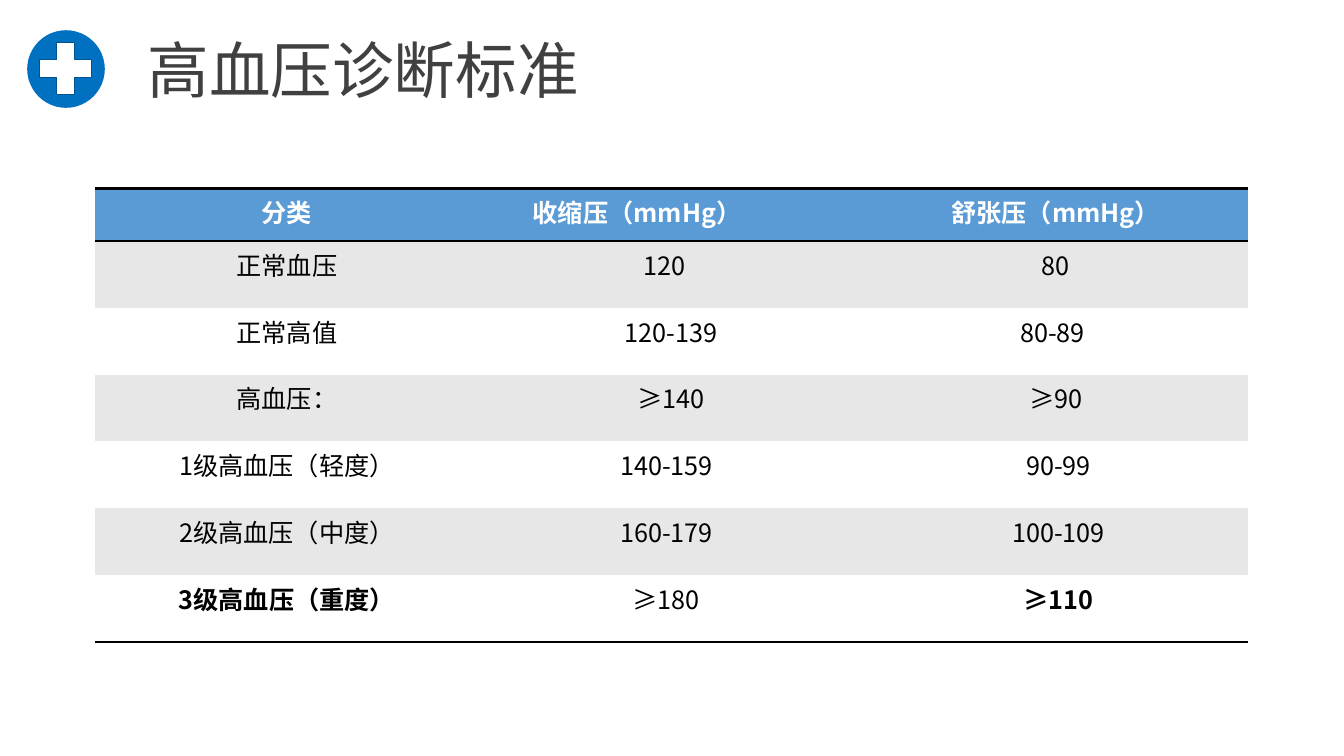
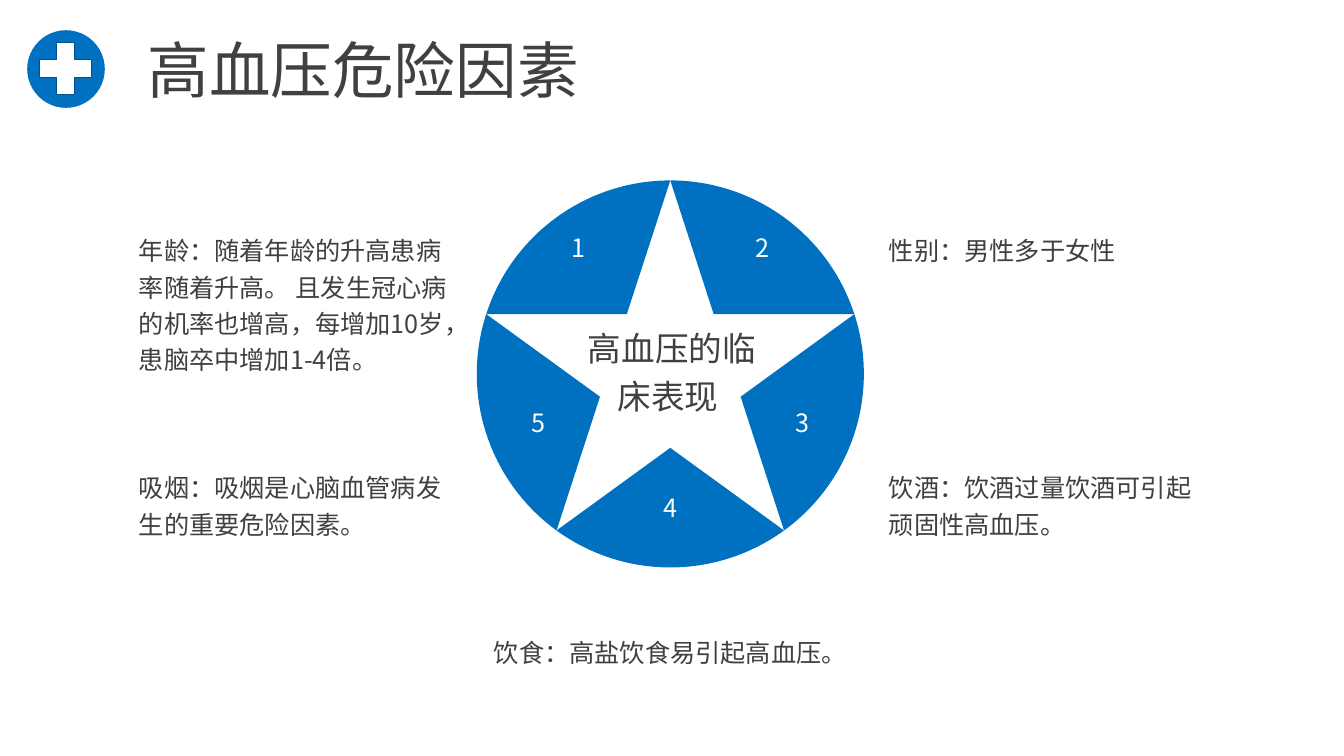
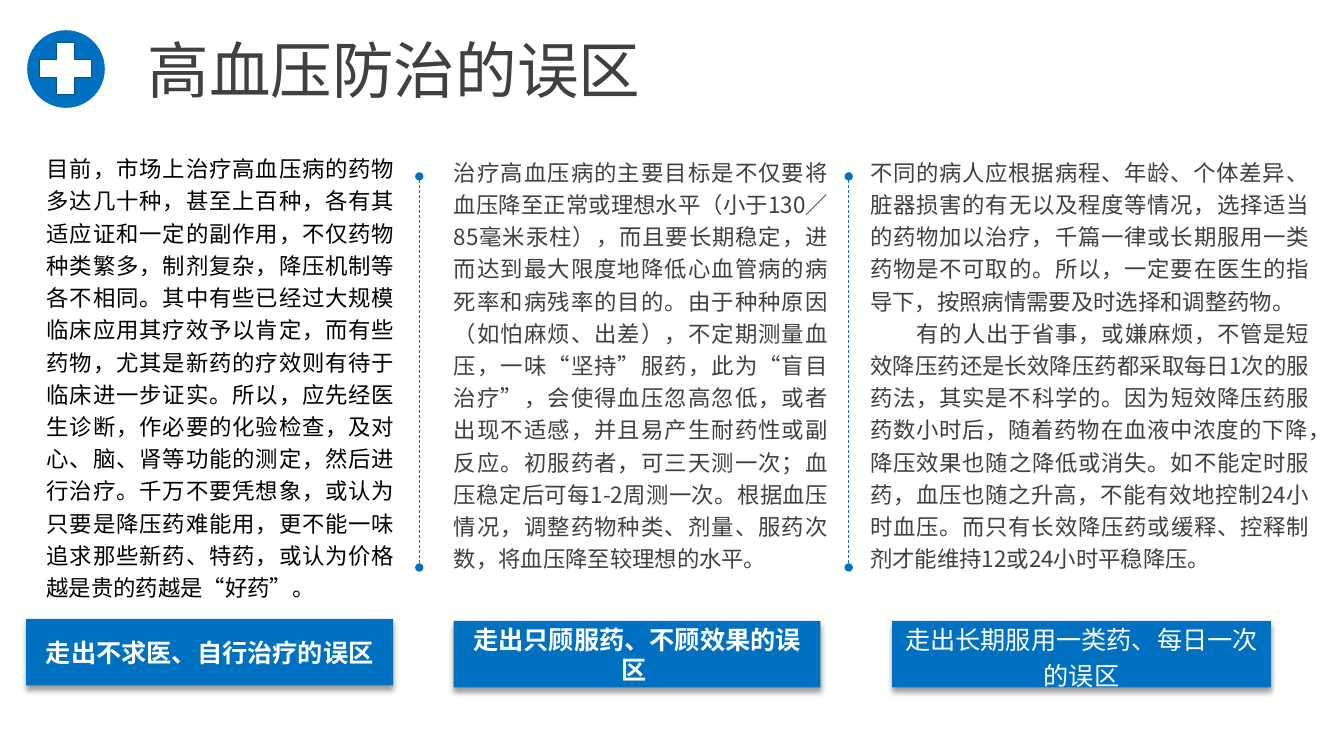
from dataclasses import dataclass
from math import cos, radians, sin, tan
from lxml.etree import SubElement
from pptx import Presentation
from pptx.dml.color import RGBColor
from pptx.enum.dml import MSO_LINE
from pptx.enum.shapes import MSO_CONNECTOR, MSO_SHAPE
from pptx.enum.text import MSO_ANCHOR, MSO_AUTO_SIZE, PP_ALIGN
from pptx.oxml.ns import qn
from pptx.util import Pt

PX = 3048


@dataclass(frozen=True)
class Theme:
    face: str = "Noto Sans CJK SC"
    blue: str = "0070C0"
    edge: str = "00538E"
    head: str = "5B9BD5"
    band: str = "E7E7E7"
    white: str = "FFFFFF"
    black: str = "000000"
    ink: str = "404040"
    title: int = Pt(44)
    hub: int = Pt(24)
    text: int = Pt(18)
    small: int = Pt(16)


T = Theme()


def node(parent, tag, **attrs):
    return SubElement(parent, qn(tag), {key: str(val) for key, val in attrs.items()})


def write(frame, lines, tint, font, para, body):
    for key, val in body.items():
        setattr(frame, key, val)
    for i, line in enumerate(lines):
        part = frame.add_paragraph() if i else frame.paragraphs[0]
        run = part.add_run()
        run.text = line
        for item, look in ((part, para), (run.font, {"name": T.face, **font})):
            for key, val in look.items():
                setattr(item, key, val)
        run.font.color.rgb = RGBColor.from_string(tint)
        node(run._r.get_or_add_rPr(), "a:ea", typeface=T.face)


mid = {"alignment": PP_ALIGN.CENTER}
left = {"alignment": PP_ALIGN.LEFT}
loose = {"line_spacing": 1.2}
wrap = {"word_wrap": True}
core = {**wrap, "vertical_anchor": MSO_ANCHOR.MIDDLE}

deck = Presentation()
deck.slide_width, deck.slide_height = 4000 * PX, 2250 * PX
layout = deck.slide_layouts[5]
for hold in list(layout.placeholders)[1:]:
    hold._element.getparent().remove(hold._element)

slides = []
for name in ("高血压诊断标准", "高血压危险因素", "高血压防治的误区"):
    slide = deck.slides.add_slide(layout)
    title = slide.shapes.title
    rect = {"left": 396, "top": 72, "width": 185 * len(name) + 85, "height": 264}
    for key, val in rect.items():
        setattr(title, key, val * PX)
    body = {"word_wrap": False, "auto_size": MSO_AUTO_SIZE.NONE, "margin_left": 43 * PX,
            "margin_right": 43 * PX, "margin_top": 21 * PX, "margin_bottom": 21 * PX}
    write(title.text_frame, [name], T.ink, {"size": T.title}, left, body)
    slides.append(slide)
grades, risks, myths = [slide.shapes for slide in slides]

disc = grades.add_shape(MSO_SHAPE.OVAL, *[n * PX for n in (81, 90, 231, 231)])
cross = grades.add_shape(MSO_SHAPE.CROSS, *[n * PX for n in (117, 126, 156, 156)])
cross.adjustments[0] = 0.324
cross.shadow.inherit = False
cross.fill.solid()
cross.fill.fore_color.rgb = RGBColor.from_string(T.white)
cross.line.color.rgb = RGBColor.from_string(T.edge)
cross.line.width = Pt(1)
for shape in (disc, cross):
    layout.shapes._spTree.append(shape._element)
blues = [disc]

rows = [
    ("分类", "收缩压（mmHg）", "舒张压（mmHg）"),
    ("正常血压", "120", "80"),
    ("正常高值", "120-139", "80-89"),
    ("高血压：", "≥140", "≥90"),
    ("1级高血压（轻度）", "140-159", "90-99"),
    ("2级高血压（中度）", "160-179", "100-109"),
    ("3级高血压（重度）", "≥180", "≥110"),
]
shift = {(0, 1): -102, (1, 1): -21, (2, 2): -9, (4, 1): -14, (5, 1): -14, (6, 1): -15,
         (4, 2): 9, (5, 2): 9, (6, 2): 9}
bold = {(0, 0), (0, 1), (0, 2), (6, 0), (6, 2)}
rules = {0: ("a:lnT", "a:lnB"), 6: ("a:lnB",)}
frame = grades.add_table(7, 3, *[n * PX for n in (282, 561, 3432, 1350)])
table = frame.table
frame._element.find(".//" + qn("a:tableStyleId")).text = "{2D5ABB26-0587-4C30-8999-92F81FD0307C}"
for col in table.columns:
    col.width = 1144 * PX
for r, row in enumerate(rows):
    table.rows[r].height = (199 if r else 156) * PX
    for c, text in enumerate(row):
        cell = table.cell(r, c)
        move = shift.get((r, c), 0)
        cell.margin_left = (30 + max(0, 2 * move)) * PX
        cell.margin_right = (30 + max(0, -2 * move)) * PX
        write(cell.text_frame, [text], T.black if r else T.white,
              {"size": T.text, "bold": (r, c) in bold}, mid, {})
        for tag in rules.get(r, ()):
            rule = node(cell._tc.get_or_add_tcPr(), tag, w=Pt(2))
            node(node(rule, "a:solidFill"), "a:srgbClr", val=T.black)
        cell.fill.solid()
        tint = (T.band if r % 2 else T.white) if r else T.head
        cell.fill.fore_color.rgb = RGBColor.from_string(tint)

mx, my, rad = 1995 * PX, 1113 * PX, 576 * PX
for n in range(1, 6):
    start = 72 * n - 234
    axis = [a for a in (-90, 0, 90, 180) if start < a < start + 72]
    stops = [start, *axis, start + 72]
    polar = [(0.382 * rad, start + 36)] + [(rad, a) for a in stops]
    dots = [(mx + d * cos(radians(a)), my + d * sin(radians(a))) for d, a in polar]
    pen = risks.build_freeform(*dots[0])
    pen.add_line_segments(dots[1:])
    wedge = pen.convert_to_shape()
    sides = wedge._element.findall(".//" + qn("a:lnTo"))[1:]
    for side, a, b in zip(sides, stops, stops[1:]):
        pull = 4 / 3 * tan(radians(b - a) / 4)
        curve = node(side.getparent(), "a:cubicBezTo")
        side.getparent().replace(side, curve)
        for ang, lean in ((a, pull), (b, -pull), (b, 0)):
            u, v = cos(radians(ang)), sin(radians(ang))
            node(curve, "a:pt", x=round(mx + rad * (u - lean * v) - wedge.left),
                 y=round(my + rad * (v + lean * u) - wedge.top))
    write(wedge.text_frame, [str(n)], T.white, {"size": T.text}, mid, core)
    blues.append(wedge)

notes = [
    ((384, 669, 996, 468), "年龄：随着年龄的升高患病率随着升高。 且发生冠心病的机率也增高，每增加10岁，患脑卒中增加1-4倍。", T.text, left),
    ((2616, 669, 996, 129), "性别：男性多于女性", T.text, left),
    ((384, 1374, 996, 249), "吸烟：吸烟是心脑血管病发生的重要危险因素。", T.text, left),
    ((2616, 1374, 996, 249), "饮酒：饮酒过量饮酒可引起顽固性高血压。", T.text, left),
    ((1203, 1863, 1584, 129), "饮食：高盐饮食易引起高血压。", T.text, mid),
    ((1680, 936, 639, 309), "高血压的临床表现 ", T.hub, mid),
]
for rect, text, size, side in notes:
    box = risks.add_textbox(*[n * PX for n in rect])
    write(box.text_frame, [text], T.ink, {"size": size}, {**side, **loose}, wrap)

essays = [
    ((117, 609, 1080, 1017), T.black, [
        "目前，市场上治疗高血压病的药物多达几十种，甚至上百种，各有其适应证和一定的副作用，不仅药物种类繁多，制剂复杂，降压机制等各不相同。其中有些已经过大规模临床应用其疗效予以肯定，而有些药物，尤其是新药的疗效则有待于临床进一步证实。所以，应先经医生诊断，作必要的化验检查，及对心、脑、肾等功能的测定，然后进行治疗。千万不要凭想象，或认为只要是降压药难能用，更不能一味追求那些新药、特药，或认为价格越是贵的药越是“好药”。"]),
    ((1329, 645, 1158, 870), T.ink, [
        "治疗高血压病的主要目标是不仅要将血压降至正常或理想水平（小于130／85毫米汞柱），而且要长期稳定，进而达到最大限度地降低心血管病的病死率和病残率的目的。由于种种原因（如怕麻烦、出差），不定期测量血压，一味“坚持”服药，此为“盲目治疗”，会使得血压忽高忽低，或者出现不适感，并且易产生耐药性或副反应。初服药者，可三天测一次；血压稳定后可每1-2周测一次。根据血压情况，调整药物种类、剂量、服药次数，将血压降至较理想的水平。"]),
    ((2568, 645, 1350, 870), T.ink, [
        "不同的病人应根据病程、年龄、个体差异、脏器损害的有无以及程度等情况，选择适当的药物加以治疗，千篇一律或长期服用一类药物是不可取的。所以，一定要在医生的指导下，按照病情需要及时选择和调整药物。",
        "有的人出于省事，或嫌麻烦，不管是短效降压药还是长效降压药都采取每日1次的服药法，其实是不科学的。因为短效降压药服药数小时后，随着药物在血液中浓度的下降，降压效果也随之降低或消失。如不能定时服药，血压也随之升高，不能有效地控制24小时血压。而只有长效降压药或缓释、控释制剂才能维持12或24小时平稳降压。"]),
]
tight = {**core, "margin_left": 22 * PX, "margin_right": 22 * PX,
         "margin_top": 11 * PX, "margin_bottom": 11 * PX}
for rect, tint, lines in essays:
    box = myths.add_textbox(*[n * PX for n in rect])
    write(box.text_frame, lines, tint, {"size": T.small},
          {"alignment": PP_ALIGN.JUSTIFY, **loose}, tight)
    for part in box.text_frame.paragraphs[1:]:
        part._p.get_or_add_pPr().set("indent", str(139 * PX))

for x in (1248, 2526):
    line = myths.add_connector(MSO_CONNECTOR.STRAIGHT, *[n * PX for n in (x, 525, x, 1689)])
    line.line.color.rgb = RGBColor.from_string(T.blue)
    line.line.width = Pt(0.5)
    line.line.dash_style = MSO_LINE.DASH
    for tag in ("a:headEnd", "a:tailEnd"):
        node(line.line._get_or_add_ln(), tag, type="oval")
    node(line._element.spPr, "a:effectLst")

bars = [
    ((78, 1842, 1092, 198), "走出不求医、自行治疗的误区", True, mid),
    ((1350, 1848, 1092, 198), "走出只顾服药、不顾效果的误区 ", True, mid),
    ((2655, 1848, 1128, 198), "走出长期服用一类药、每日一次的误区", False, {**mid, **loose}),
]
plates = []
for rect, text, heavy, para in bars:
    bar = myths.add_shape(MSO_SHAPE.RECTANGLE, *[n * PX for n in rect])
    write(bar.text_frame, [text], T.white, {"size": T.text, "bold": heavy}, para, core)
    plates.append(bar)

for shape in blues + plates:
    shape.shadow.inherit = False
    shape.fill.solid()
    shape.fill.fore_color.rgb = RGBColor.from_string(T.blue)
    shape.line.fill.background()

for bar in plates:
    glow = bar._element.spPr.find(qn("a:effectLst"))
    shade = node(glow, "a:outerShdw", blurRad=Pt(4), dist=Pt(3), dir=5400000, rotWithShape=0)
    node(node(shade, "a:srgbClr", val=T.black), "a:alpha", val=40000)

deck.save("out.pptx")
